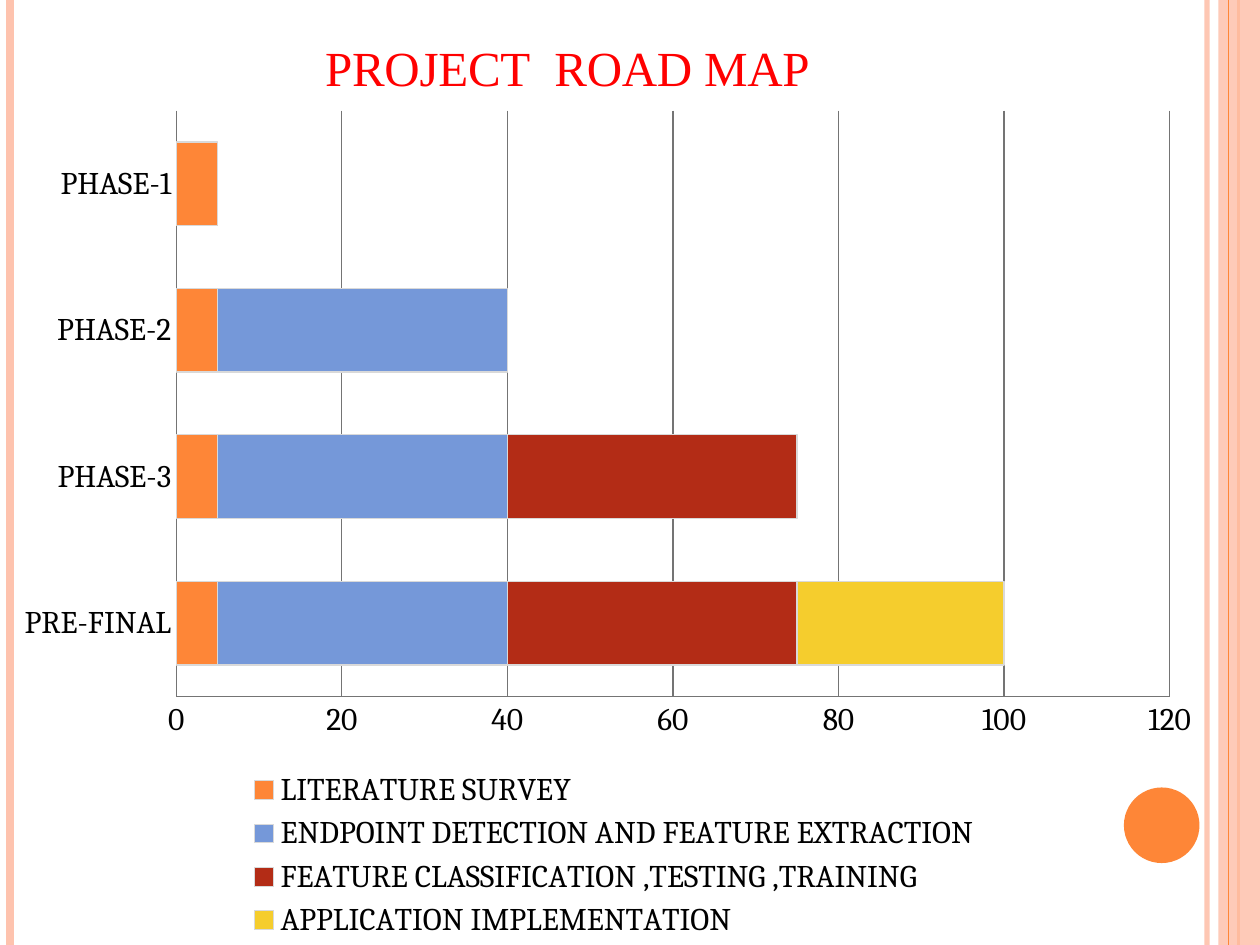
from lxml import etree
from pptx import Presentation
from pptx.chart.data import CategoryChartData
from pptx.dml.color import RGBColor
from pptx.enum.chart import XL_CHART_TYPE, XL_LEGEND_POSITION, XL_TICK_MARK
from pptx.enum.shapes import MSO_CONNECTOR, MSO_SHAPE
from pptx.oxml.ns import qn
from pptx.util import Inches, Pt

BAR = XL_CHART_TYPE.BAR_STACKED
BOTTOM = XL_LEGEND_POSITION.BOTTOM
NO_TICK = XL_TICK_MARK.NONE
LINE = MSO_CONNECTOR.STRAIGHT
RECT, OVAL = MSO_SHAPE.RECTANGLE, MSO_SHAPE.OVAL

# Content
WIDE, HIGH = 10, 7.5
TITLE = "PROJECT  ROAD MAP"
PHASES = ["PRE-FINAL", "PHASE-3", "PHASE-2", "PHASE-1"]
TASKS = [
    ("LITERATURE SURVEY", (5, 5, 5, 5), "FE8637"),
    ("ENDPOINT DETECTION AND FEATURE EXTRACTION", (35, 35, 35, 0), "7598D9"),
    ("FEATURE CLASSIFICATION ,TESTING ,TRAINING", (35, 35, 0, 0), "B32C16"),
    ("APPLICATION IMPLEMENTATION", (25, 0, 0, 0), "F5CD2D"),
]
PEACH, ORANGE, GREY, EDGE = "FEC3AE", "FE8637", "747474", "D9D9D9"
# x, colour, width in points, opacity in percent
OUTER = [(9.58, PEACH, 3, 93), (0.08, PEACH, 4.5, 100), (9.83, ORANGE, 1.5, 100)]
INNER = [(9.75, ORANGE, 0.75, 100)]
# Shares of the chart's size: x, y, width, height
PLOT = (0.145, 0.117, 0.817, 0.62)
KEY = (0.2, 0.81, 0.61, 0.19)
HEAD = (0.26, 0.03)


def tint(code):
    return RGBColor.from_string(code)


def fade(fill, share):
    if share < 100:
        color = fill.find(".//" + qn("a:srgbClr"))
        etree.SubElement(color, qn("a:alpha"), val=str(share * 1000))


def stripe(x, color, width, share):
    line = slide.shapes.add_connector(LINE, Inches(x), 0, Inches(x), Inches(HIGH))
    line.line.color.rgb = tint(color)
    line.line.width = Pt(width)
    props = line._element.spPr
    fade(props, share)
    etree.SubElement(props, qn("a:effectLst"))


def block(kind, box, color, share=100):
    shape = slide.shapes.add_shape(kind, *map(Inches, box))
    shape.shadow.inherit = False
    shape.fill.solid()
    shape.fill.fore_color.rgb = tint(color)
    shape.line.fill.background()
    fade(shape._element.spPr, share)


def place(part, spot, box, inner=False):
    for old in part.findall(qn("c:layout")):
        part.remove(old)
    layout = etree.Element(qn("c:layout"))
    manual = etree.SubElement(layout, qn("c:manualLayout"))
    rules = [("layoutTarget", "inner")] if inner else []
    rules += [("xMode", "edge"), ("yMode", "edge")]
    rules += zip("xywh", box)
    for name, value in rules:
        etree.SubElement(manual, qn("c:" + name), val=str(value))
    part.insert(spot, layout)


def style(font, size, color, face):
    font.size, font.name, font.bold = Pt(size), face, False
    font.color.rgb = tint(color)


deck = Presentation()
deck.slide_width, deck.slide_height = Inches(WIDE), Inches(HIGH)
slide = deck.slides.add_slide(deck.slide_layouts[6])

# Side bands and dot
for band in OUTER:
    stripe(*band)
block(RECT, (9.67, 0, 0.33, HIGH), PEACH, 87)
for band in INNER:
    stripe(*band)
block(OVAL, (8.92, 6.25, 0.6, 0.6), ORANGE)

# Chart
data = CategoryChartData()
data.categories = PHASES
for name, values, color in TASKS:
    data.add_series(name, values)
chart = slide.shapes.add_chart(BAR, 0, 0, Inches(9.65), Inches(HIGH), data).chart
style(chart.font, 18, "000000", "Cambria")

# Bars
plot = chart.plots[0]
plot.gap_width, plot.overlap = 75, 100
plot.vary_by_categories = False
for series, (name, values, color) in zip(plot.series, TASKS):
    series.format.fill.solid()
    series.format.fill.fore_color.rgb = tint(color)
    series.format.line.color.rgb = tint(EDGE)
    series.format.line.width = Pt(0.75)

# Axes
scale = chart.value_axis
scale.minimum_scale, scale.maximum_scale, scale.major_unit = 0, 120, 20
scale.has_major_gridlines = True
for axis in (chart.category_axis, scale):
    axis.major_tick_mark = axis.minor_tick_mark = NO_TICK
for part in (chart.category_axis, scale, scale.major_gridlines):
    part.format.line.color.rgb = tint(GREY)
    part.format.line.width = Pt(0.75)

# Title and legend
chart.has_title = True
run = chart.chart_title.text_frame.paragraphs[0].add_run()
run.text = TITLE
style(run.font, 28, "FF0000", "Times New Roman")
chart.has_legend = True
chart.legend.position = BOTTOM
chart.legend.include_in_layout = False

# Layout
place(chart.chart_title._element, 1, HEAD)
place(chart.legend._element, 1, KEY)
place(chart._chartSpace.find(".//" + qn("c:plotArea")), 0, PLOT, True)

deck.save("out.pptx")
